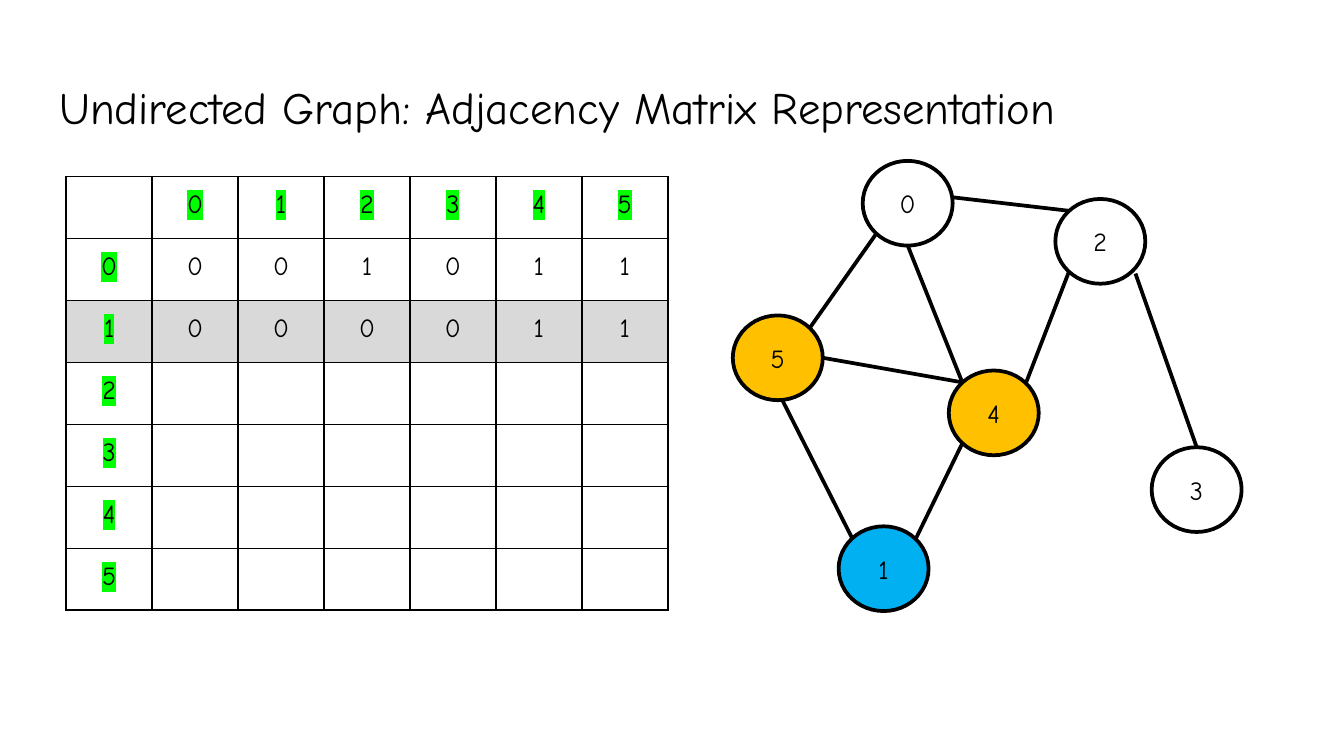
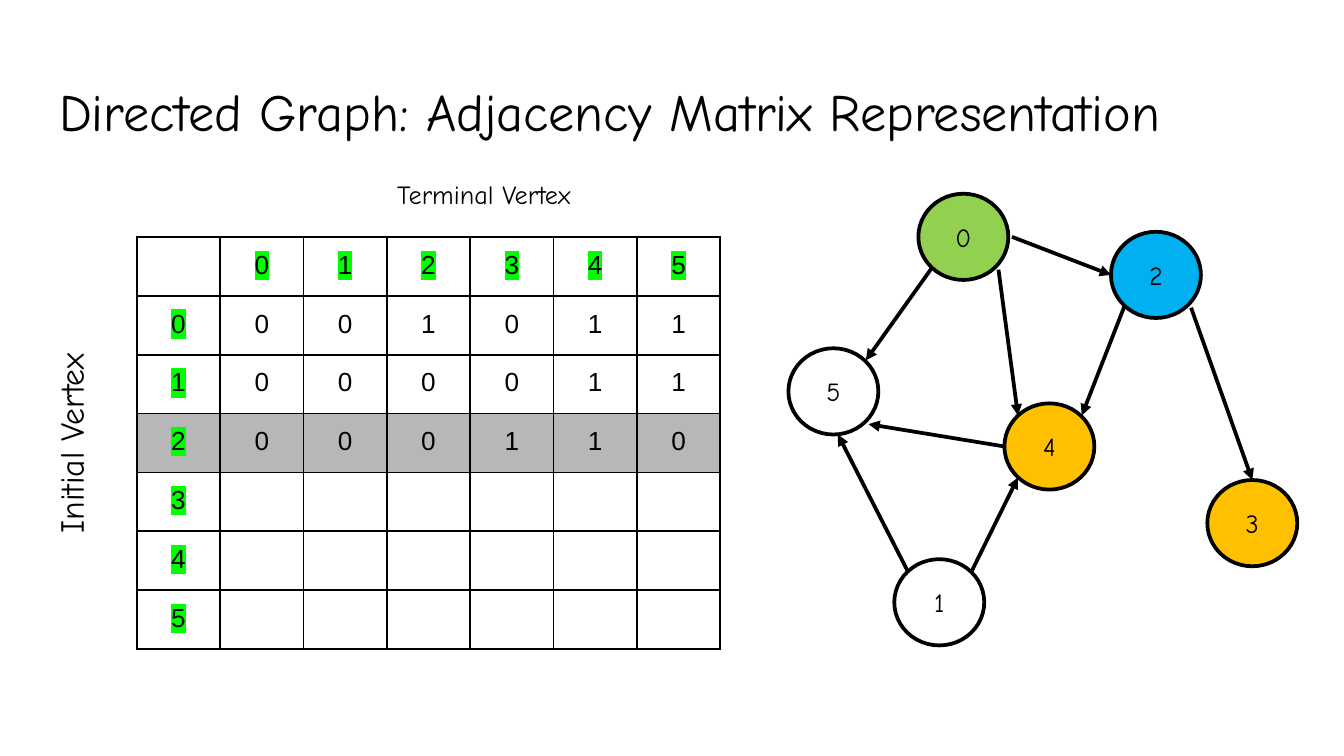
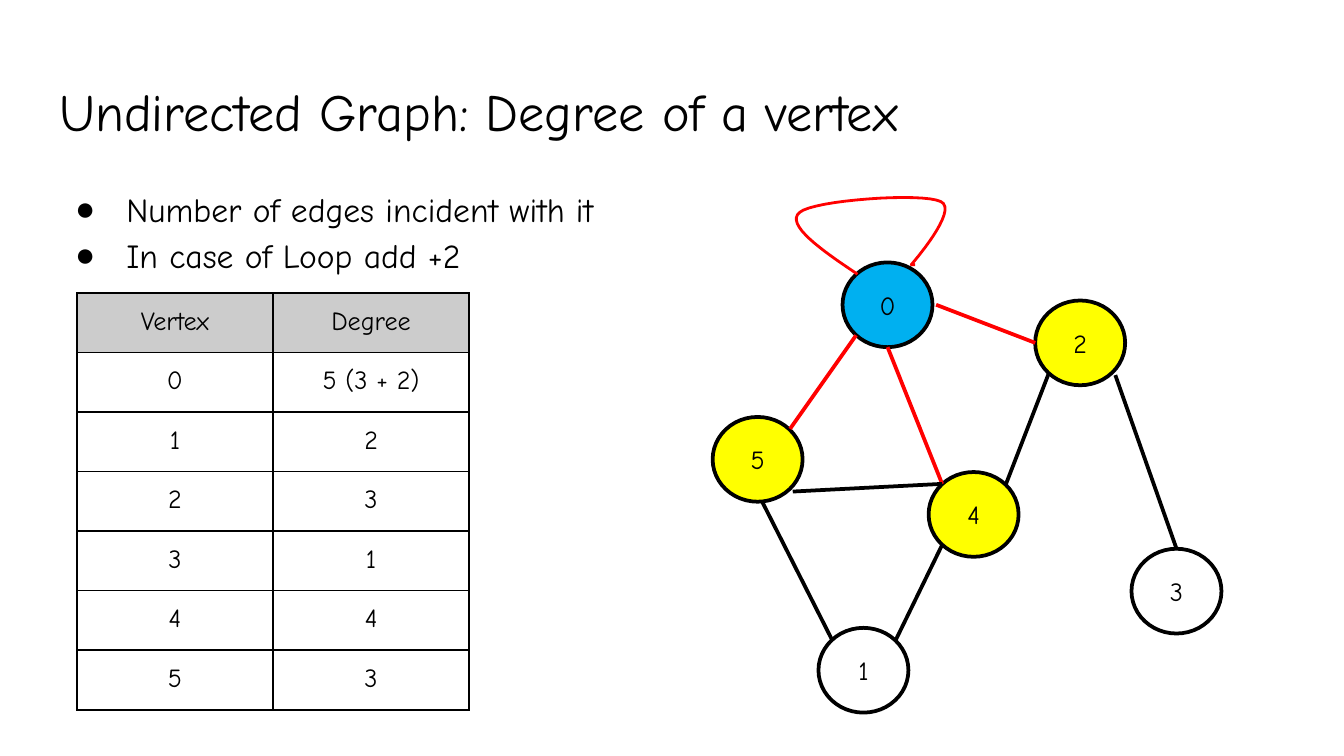
from lxml import etree
from pptx import Presentation, util as u
from pptx.dml.color import RGBColor
from pptx.enum import shapes, text
from pptx.oxml.ns import qn

HUES = {"ink": "000000", "white": "FFFFFF", "lime": "00FF00", "gold": "FFC000",
        "blue": "00B0F0", "green": "92D050", "lemon": "FFFF00", "red": "FF0000",
        "pale": "D9D9D9", "mid": "B7B7B7", "head": "CCCCCC"}
FACE = "Comic Neue"
ALIGN = {"left": text.PP_ALIGN.LEFT, "mid": text.PP_ALIGN.CENTER}
ANCHOR = {"top": text.MSO_ANCHOR.TOP, "mid": text.MSO_ANCHOR.MIDDLE}

NODES = {"0": (0, 0), "2": (103.2, 20.4), "4": (46.1, 112.3),
         "3": (154.8, 153.4), "1": (-12.9, 195.8), "5": (-69.6, 82.8)}
SITES = {"n": (0.5, 0), "ne": (0.86, 0.14), "e": (1, 0.5), "se": (0.89, 0.88),
         "s": (0.5, 1), "sw": (0.15, 0.86), "w": (0, 0.5), "nw": (0.15, 0.14),
         "ene": (1, 0.43), "far": (1.04, 0.5), "sse": (0.55, 1)}
SHARED = ["0 sw 5 ne", "1 nw 5 sse", "1 ne 4 sw", "2 sw 4 ne", "2 se 3 n"]


def hue(name):
    """Return the named colour."""
    return RGBColor.from_string(HUES[name])


def pts(*nums):
    """Turn numbers of points into lengths."""
    return [u.Pt(n) for n in nums]


def sub(node, tag, **attrs):
    """Add a drawing element below a node."""
    return etree.SubElement(node, qn("a:" + tag), **attrs)


def put(frame, *lines, size=14, face=FACE, align="mid", anchor="top",
        mark=None, bullet=None, lead=None):
    """Write lines as formatted paragraphs of a text frame."""
    frame.word_wrap = True
    frame.auto_size = text.MSO_AUTO_SIZE.NONE
    frame.vertical_anchor = ANCHOR[anchor]
    frame.margin_left = frame.margin_right = u.Pt(7.2)
    frame.margin_top = frame.margin_bottom = u.Pt(7.2)
    for i, line in enumerate(lines):
        para = frame.add_paragraph() if i else frame.paragraphs[0]
        para.alignment = ALIGN[align]
        para.space_before = u.Pt(0)
        if lead:
            para.line_spacing = lead
        if bullet:
            props = para._p.get_or_add_pPr()
            props.set("marL", str(u.Pt(36)))
            props.set("indent", str(u.Pt(-27.4)))
            sub(props, "buChar", char=bullet)
        if not line:
            sub(para._p, "endParaRPr", sz=str(size * 100))
            continue
        run = para.add_run()
        run.text = line
        run.font.size = u.Pt(size)
        run.font.color.rgb = hue("ink")
        if mark:
            sub(sub(run._r.get_or_add_rPr(), "highlight"), "srgbClr", val=HUES[mark])
        run.font.name = face


def place(shape, box):
    """Move a shape to a box."""
    shape.left, shape.top, shape.width, shape.height = pts(*box)


def start(deck, layout, title, size, width=671):
    """Add a slide with its title."""
    slide = deck.slides.add_slide(deck.slide_layouts[layout])
    place(slide.shapes.title, (24.5, 35.3, width, 45.4))
    put(slide.shapes.title.text_frame, title, size=size, align="left")
    return slide


def label(slide, words, box, size, turn=0):
    """Add a centred text box."""
    shape = slide.shapes.add_textbox(*pts(*box))
    shape.rotation = turn
    put(shape.text_frame, words, size=size)


def edge_cell(cell):
    """Draw thin lines on the four sides of a cell."""
    props = cell._tc.get_or_add_tcPr()
    for side in ("lnL", "lnR", "lnT", "lnB"):
        line = sub(props, side, w=str(u.Pt(1)))
        sub(sub(line, "solidFill"), "srgbClr", val=HUES["ink"])


def grid(slide, box, rows, shade, tint, face=FACE, mark=None):
    """Add a ruled table with one shaded row and marked headings."""
    table = slide.shapes.add_table(len(rows), len(rows[0]), *pts(*box)).table
    table.first_row = table.horz_banding = False
    for col in table.columns:
        col.width = u.Pt(box[2] / len(rows[0]))
    for r, row in enumerate(rows):
        table.rows[r].height = u.Pt(box[3] / len(rows))
        for c, word in enumerate(row):
            cell = table.cell(r, c)
            edge_cell(cell)
            if r == shade:
                cell.fill.solid()
                cell.fill.fore_color.rgb = hue(tint)
            else:
                cell.fill.background()
            cell.margin_left = cell.margin_right = u.Pt(7.2)
            cell.margin_top = cell.margin_bottom = u.Pt(7.2)
            put(cell.text_frame, word, face=face,
                mark=mark if r == 0 or c == 0 else None)


def matrix(*known):
    """Return an adjacency grid with headings and the known rows."""
    rows = [["", *"012345"]]
    for i in range(6):
        rows.append([str(i), *(known[i] if i < len(known) else [""] * 6)])
    return rows


def line(slide, begin, end, color, arrow):
    """Draw an edge, with an arrow at its end if asked."""
    link = slide.shapes.add_connector(shapes.MSO_CONNECTOR.STRAIGHT,
                                      *pts(*begin, *end))
    link.line.width = u.Pt(2)
    link.line.color.rgb = hue(color)
    if arrow:
        sub(link.line._get_or_add_ln(), "tailEnd", type="triangle")
    sub(link._element.spPr, "effectLst")


def graph(slide, left, top, high, fills, edges, arrow=False, hot=()):
    """Draw the vertices from an origin and the edges between their sites."""
    wide = 48.2

    def spot(name, site):
        """Find a site on the rim of a vertex."""
        (x, y), (fx, fy) = NODES[name], SITES[site]
        return left + x + fx * wide, top + y + fy * high

    for name, (x, y) in NODES.items():
        disc = slide.shapes.add_shape(shapes.MSO_SHAPE.FLOWCHART_CONNECTOR,
                                      *pts(left + x, top + y, wide, high))
        disc.shadow.inherit = False
        disc.fill.solid()
        disc.fill.fore_color.rgb = hue(fills.get(name, "white"))
        disc.line.color.rgb = hue("ink")
        disc.line.width = u.Pt(2)
        put(disc.text_frame, name, anchor="mid")
    for edge in edges:
        a, out, b, into = edge.split()
        line(slide, spot(a, out), spot(b, into),
             "red" if a in hot else "ink", arrow)


def bend(a, b, c, d, steps=16):
    """Return points along a cubic curve, without its start."""
    return [tuple((1 - t) ** 3 * p + 3 * t * (1 - t) ** 2 * q
                  + 3 * t * t * (1 - t) * r + t ** 3 * s
                  for p, q, r, s in zip(a, b, c, d))
            for t in (i / steps for i in range(1, steps + 1))]


def loop(slide, knots, end):
    """Draw a red loop through the knots of joined curves."""
    dots = []
    for i in range(0, len(knots) - 1, 3):
        dots += bend(*knots[i:i + 4])
    pen = slide.shapes.build_freeform(*pts(*knots[0]))
    pen.add_line_segments([pts(*dot) for dot in dots + [end]], close=False)
    shape = pen.convert_to_shape()
    shape.shadow.inherit = False
    shape.fill.background()
    shape.line.color.rgb = hue("red")
    shape.line.width = u.Pt(1.5)


def plain(deck):
    """Build the undirected matrix slide."""
    slide = start(deck, 5, "Undirected Graph: Adjacency Matrix Representation", 24)
    grid(slide, (35.5, 94.6, 322.4, 232.4), matrix("001011", "000011"),
         2, "pale", mark="lime")
    graph(slide, 462.2, 86.2, 45.4, {"1": "blue", "4": "gold", "5": "gold"},
          SHARED + ["0 s 4 nw", "0 ene 2 nw", "5 e 4 nw"])


def aimed(deck):
    """Build the directed matrix slide."""
    slide = start(deck, 5, "Directed Graph: Adjacency Matrix Representation", 28, 681)
    grid(slide, (73.3, 127, 312.6, 220.8), matrix("001011", "000011", "000110"),
         3, "mid", face="Arial", mark="lime")
    label(slide, "Initial Vertex", (-74.2, 221.8, 219.6, 31.7), 18, 270)
    label(slide, "Terminal Vertex", (70.6, 88.6, 377.3, 25.2), 14)
    graph(slide, 492, 103.8, 46.2,
          {"0": "green", "2": "blue", "3": "gold", "4": "gold"},
          SHARED + ["0 far 2 w", "0 se 4 nw", "4 w 5 se"], arrow=True)


def degree(deck):
    """Build the vertex degree slide."""
    slide = start(deck, 1, "Undirected Graph: Degree of a vertex", 28)
    body = slide.placeholders[1]
    place(body, (24.5, 90.7, 328.3, 56.2))
    put(body.text_frame, "Number of edges incident with it",
        "In case of Loop add +2", size=18, align="left", bullet="●", lead=1.15)
    counts = ["5 (3 + 2)", "2", "3", "1", "4", "3"]
    rows = [("Vertex", "Degree")] + [(str(i), n) for i, n in enumerate(counts)]
    grid(slide, (41.2, 157, 210.2, 223.3), rows, 0, "head")
    graph(slide, 451.4, 140.6, 45.4,
          {"0": "blue", "2": "lemon", "4": "lemon", "5": "lemon"},
          SHARED + ["0 s 4 nw", "0 far 2 w", "5 se 4 nw"], hot="0")
    loop(slide, [(459.4, 146.9), (439.9, 133.9), (420.5, 120.2), (428.4, 113.8),
                 (435.6, 107.3), (493.9, 103), (504, 108),
                 (514.1, 112.3), (488.2, 141.8), (488.2, 141.8)], (490.3, 141.8))


def main():
    """Build and save the deck."""
    deck = Presentation()
    deck.slide_width, deck.slide_height = pts(720, 405)
    plain(deck)
    aimed(deck)
    degree(deck)
    deck.save("out.pptx")


if __name__ == "__main__":
    main()
